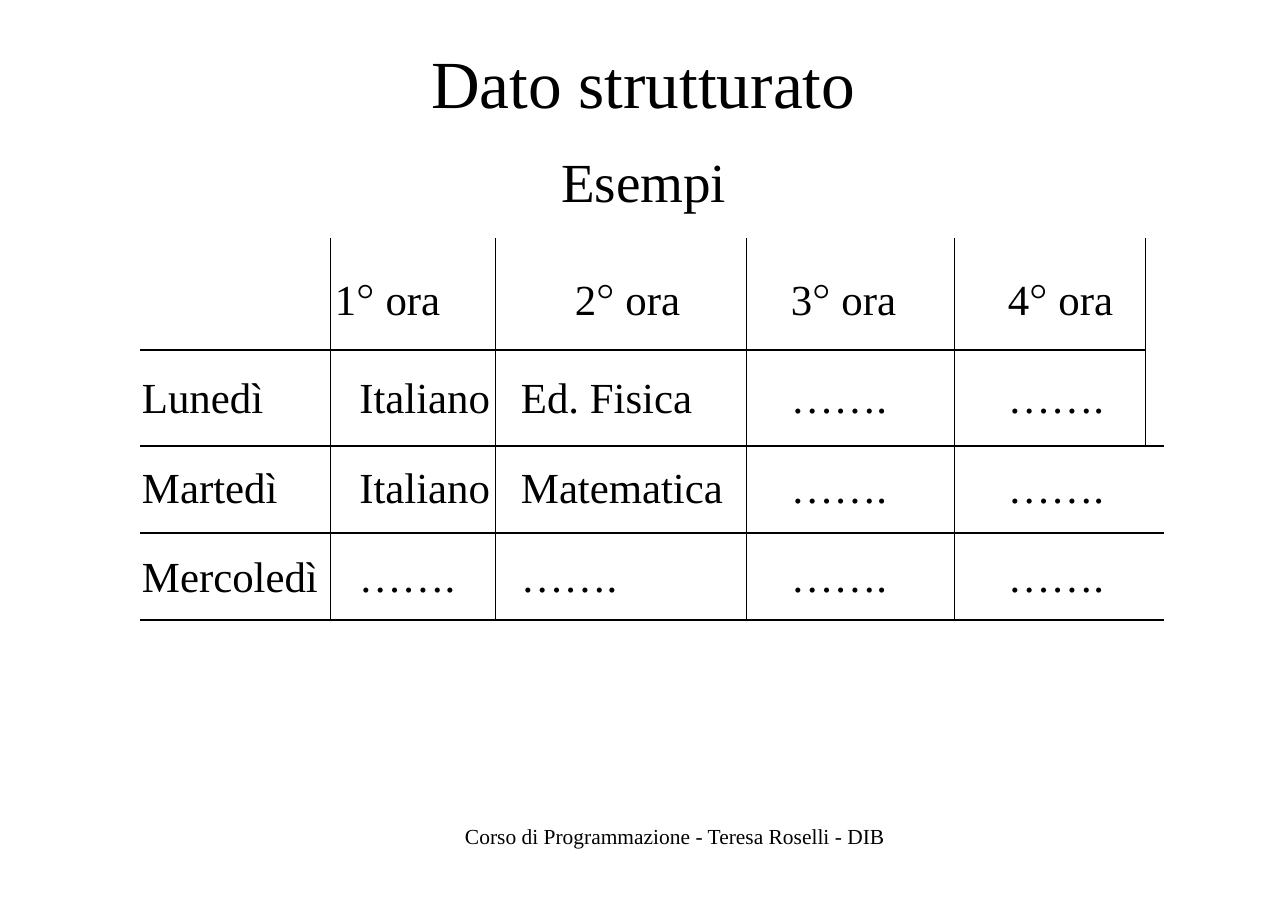
from lxml.etree import SubElement
from pptx import Presentation
from pptx.dml.color import RGBColor
from pptx.enum.text import MSO_ANCHOR, MSO_AUTO_SIZE, PP_ALIGN
from pptx.oxml.ns import qn
from pptx.util import Pt

PX = 8298
BLACK = "000000"
SERIF = "Times New Roman"


def write(frame, text, size, font=SERIF, color=BLACK, align=PP_ALIGN.LEFT, line=None):
    para = frame.paragraphs[0]
    para.alignment = align
    if line:
        para.line_spacing = Pt(line)
    before, degree, after = text.partition("° ")
    for part, face in ((before, font), (degree, "Montserrat"), (after, font)):
        if part:
            span = para.add_run()
            span.text = part
            span.font.name = face
            span.font.size = Pt(size)
            span.font.color.rgb = RGBColor.from_string(color)


def border(cell, side, width, color=BLACK):
    edge = SubElement(cell._tc.get_or_add_tcPr(), qn(f"a:ln{side}"), w=str(Pt(width)))
    if width:
        fill = SubElement(edge, qn("a:solidFill"))
        SubElement(fill, qn("a:srgbClr"), val=color)
    else:
        SubElement(edge, qn("a:noFill"))


deck = Presentation()
deck.slide_width, deck.slide_height = 1288 * PX, 911 * PX
page = deck.slides.add_slide(deck.slide_layouts[5])

heading = page.shapes.title
subtitle = page.shapes.add_textbox(0, 0, PX, PX)
footer = page.shapes.add_textbox(0, 0, PX, PX)
for box, text, size, line, place in (
    (heading, "Dato strutturato", 44, None, (430, 41, 428, 84)),
    (subtitle, "Esempi", 36, None, (560, 147, 169, 69)),
    (footer, "Corso di Programmazione - Teresa Roselli - DIB", 14, 16.2, (464, 824, 424, 26)),
):
    box.left, box.top, box.width, box.height = (value * PX for value in place)
    frame = box.text_frame
    frame.word_wrap = True
    frame.auto_size = MSO_AUTO_SIZE.NONE
    frame.vertical_anchor = MSO_ANCHOR.TOP
    frame.margin_left = PX
    frame.margin_top = frame.margin_right = frame.margin_bottom = 0
    write(frame, text, size, line=line)

DOTS = "……."
timetable = [
    ["", "1° ora", "2° ora", "3° ora", "4° ora", ""],
    ["Lunedì", "Italiano", "Ed. Fisica", DOTS, DOTS, ""],
    ["Martedì", "Italiano", "Matematica", DOTS, DOTS, ""],
    ["Mercoledì", DOTS, DOTS, DOTS, DOTS, ""],
]
widths = [191, 165, 251, 208, 191, 18]
heights = [112, 96, 87, 87]
tops = [36, 25, 19, 21]
header_indents = [0, 4, 79, 44, 53, 0]
day_indents = [2, 28, 25, 44, 53, 0]

table = page.shapes.add_table(
    4, 6, 140 * PX, 238 * PX, sum(widths) * PX, sum(heights) * PX
).table
table.first_row = table.horz_banding = False
for column, width in zip(table.columns, widths):
    column.width = width * PX
for row, height in zip(table.rows, heights):
    row.height = height * PX
table.cell(0, 5).merge(table.cell(1, 5))
for day in (2, 3):
    table.cell(day, 4).merge(table.cell(day, 5))

for day, texts in enumerate(timetable):
    for hour, text in enumerate(texts):
        cell = table.cell(day, hour)
        indents = day_indents if day else header_indents
        cell.margin_left = indents[hour] * PX
        cell.margin_top = tops[day] * PX
        cell.margin_right = cell.margin_bottom = 0
        align = PP_ALIGN.LEFT
        if text == "Italiano":
            align = PP_ALIGN.RIGHT
            cell.margin_left, cell.margin_right = 0, 6 * PX
        write(cell.text_frame, text, 28, align=align)
        last_line = 5 if day < 2 else 4
        border(cell, "L", 0.75 if 0 < hour <= last_line else 0)
        border(cell, "R", 0.75 if hour < last_line else 0)
        border(cell, "T", 1 if day and (day, hour) != (1, 5) else 0)
        border(cell, "B", 1)
        cell.fill.background()

deck.save("out.pptx")
